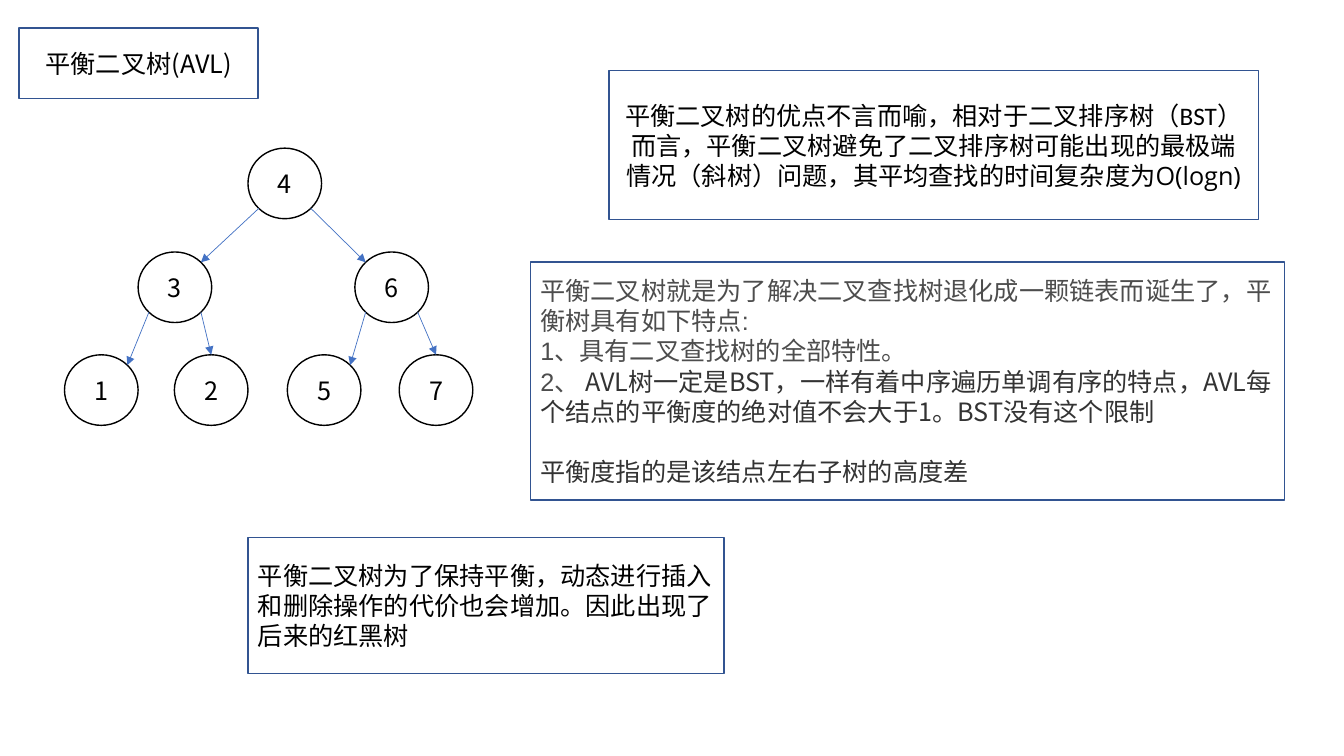
from math import sqrt
from lxml.etree import SubElement
from pptx import Presentation
from pptx.dml.color import RGBColor
from pptx.enum.shapes import MSO_CONNECTOR, MSO_SHAPE
from pptx.enum.text import MSO_ANCHOR, PP_ALIGN
from pptx.oxml.ns import qn
from pptx.util import Inches, Pt

COLORS = {"paper": "FFFFFF", "ink": "000000", "frame": "325491",
          "arrow": "4472C4", "gray": "4D4D4D", "dark": "333333"}
CJK = "Noto Sans CJK SC"
NODE_W, NODE_H = 0.73, 0.7


def rgb(name):
    return RGBColor.from_string(COLORS[name])


def add_run(p, text, font, color):
    r = p.add_run()
    r.text = text
    r.font.size = Pt(18)
    r.font.color.rgb = rgb(color)
    r.font.name = font
    SubElement(r.font._element, qn("a:ea"), typeface=CJK)


def add_box(s, kind, box, line, paragraphs, align):
    """Outlined shape; each paragraph is a list of (text, font, color) runs."""
    sp = s.shapes.add_shape(kind, *[Inches(v) for v in box])
    sp.shadow.inherit = False
    sp.fill.solid()
    sp.fill.fore_color.rgb = rgb("paper")
    sp.line.color.rgb = rgb(line)
    sp.line.width = Pt(1)
    tf = sp.text_frame
    tf.word_wrap = True
    tf.vertical_anchor = MSO_ANCHOR.MIDDLE
    for i, runs in enumerate(paragraphs):
        p = tf.add_paragraph() if i else tf.paragraphs[0]
        p.alignment = align
        for run in runs:
            add_run(p, *run)
    return tf


def add_note(s, box, paragraphs, align=PP_ALIGN.LEFT):
    return add_box(s, MSO_SHAPE.RECTANGLE, box, "frame", paragraphs, align)


def add_arrow(s, start, end):
    c = s.shapes.add_connector(MSO_CONNECTOR.STRAIGHT,
                               *[Inches(v) for v in (*start, *end)])
    c.line.color.rgb = rgb("arrow")
    c.line.width = Pt(0.5)
    SubElement(c.line._get_or_add_ln(), qn("a:tailEnd"), type="triangle")
    SubElement(c._element.spPr, qn("a:effectLst"))


def add_tree(s, left, top):
    # Node positions relative to the tree's corner
    nodes = {"1": (0, 2.05), "4": (1.82, 0), "2": (1.09, 2.05), "3": (0.73, 1.03),
             "7": (3.32, 2.05), "5": (2.21, 2.05), "6": (2.88, 1.03)}
    for key, (x, y) in nodes.items():
        add_box(s, MSO_SHAPE.OVAL, (left + x, top + y, NODE_W, NODE_H), "ink",
                [[(key, CJK, "ink")]], PP_ALIGN.CENTER)

    # Points on a node's outline, as directions from its centre
    d = 1 / sqrt(2)
    sites = {"top": (0, -1), "top left": (-d, -d), "top right": (d, -d),
             "bottom left": (-d, d), "bottom right": (d, d)}

    def point(key, site):
        (x, y), (dx, dy) = nodes[key], sites[site]
        return (left + x + NODE_W * (1 + dx) / 2, top + y + NODE_H * (1 + dy) / 2)

    edges = [("4", "bottom left", "3", "top right"),
             ("3", "bottom left", "1", "top right"),
             ("3", "bottom right", "2", "top"),
             ("4", "bottom right", "6", "top left"),
             ("6", "bottom left", "5", "top right"),
             ("6", "bottom right", "7", "top")]
    for parent, out_site, child, in_site in edges:
        add_arrow(s, point(parent, out_site), point(child, in_site))


def add_features(s, box):
    tf = add_note(s, box, [
        [("平衡二叉树就是为了解决二叉查找树退化成一颗链表而诞生了，平衡树具有如下特点:", "Arial", "gray")],
        [("1、具有二叉查找树的全部特性。", "Arial", "gray")],
        [("2、 ", "Arial", "gray"),
         ("AVL树一定是BST，一样有着中序遍历单调有序的特点，"
          "AVL每个结点的平衡度的绝对值不会大于1。BST没有这个限制", CJK, "dark")],
        [("平衡度指的是该结点左右子树的高度差", CJK, "dark")]])
    # One line of space before the definition
    tf.paragraphs[-1].space_before = Pt(21.5)


def build_avl_slide(prs):
    s = prs.slides.add_slide(prs.slide_layouts[6])
    # Title
    add_note(s, (0.19, 0.28, 2.37, 0.7), [[("平衡二叉树(AVL)", CJK, "ink")]],
             PP_ALIGN.CENTER)
    add_tree(s, 0.64, 1.47)
    add_features(s, (5.26, 2.6, 7.48, 2.36))
    # Advantage
    add_note(s, (6.04, 0.7, 6.44, 1.48), [[
        ("平衡二叉树的优点不言而喻，相对于二叉排序树（BST）而言，平衡二叉树避免了"
         "二叉排序树可能出现的最极端情况（斜树）问题，其平均查找的时间复杂度为", "Calibri", "ink"),
        ("O(logn)", "Open Sans", "ink")]], PP_ALIGN.CENTER)
    # Cost
    add_note(s, (2.46, 5.33, 4.72, 1.35), [[
        ("平衡二叉树为了保持平衡，动态进行插入和删除操作的代价也会增加。"
         "因此出现了后来的红黑树", "Calibri", "ink")]])


prs = Presentation()
prs.slide_width, prs.slide_height = Inches(13.33), Inches(7.5)
build_avl_slide(prs)
prs.save("out.pptx")
